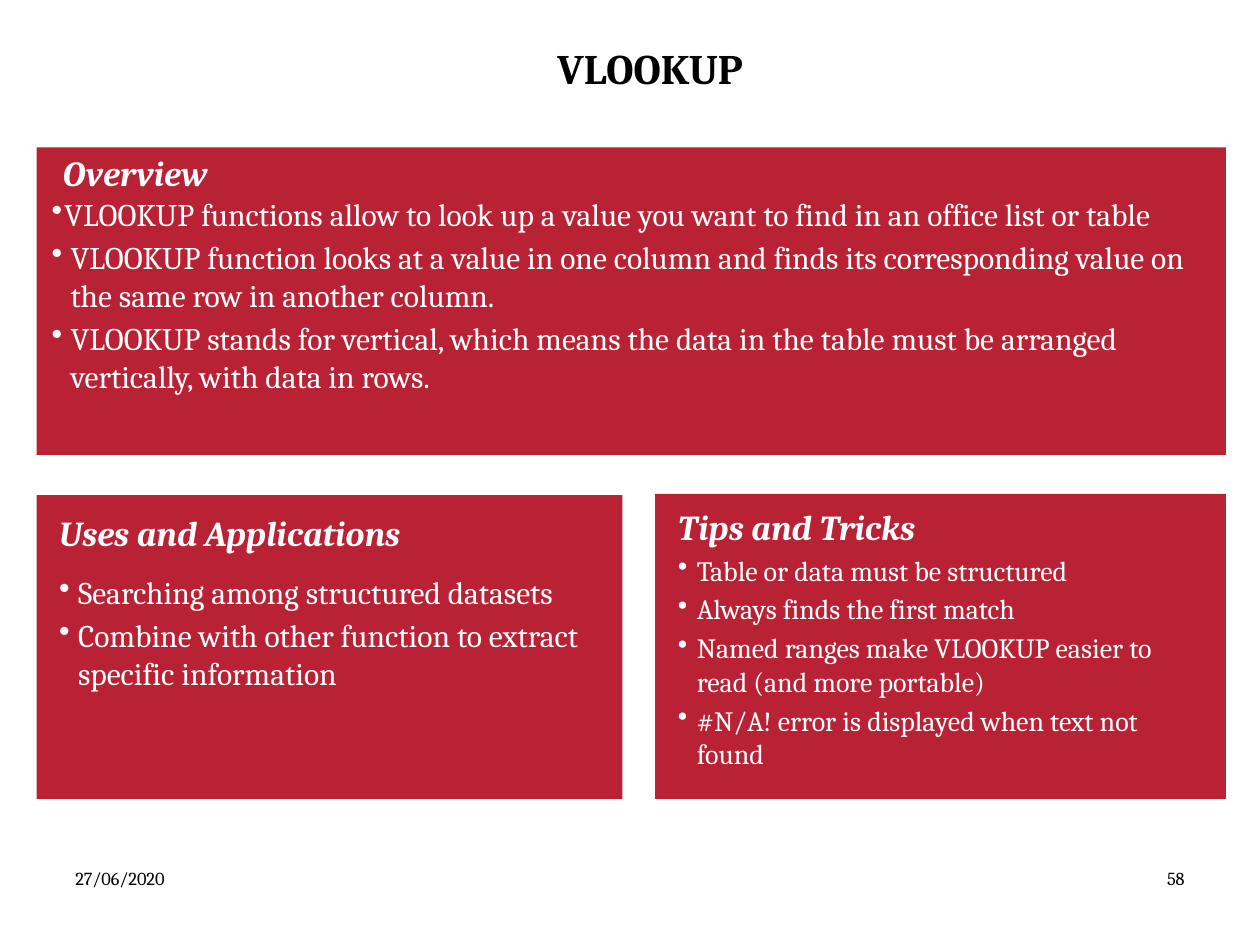
import pptx
import pptx.util
import pptx.dml.color
import pptx.enum.shapes
import pptx.enum.text
from lxml import etree

Inches = pptx.util.Inches
Pt = pptx.util.Pt
Align = pptx.enum.text.PP_ALIGN
COLORS = {"panel": "B82234", "light": "FFFFFF", "dark": "000000"}
BODY_GAP = 3
HEAD_GAP = 9


def color(name):
    return pptx.dml.color.RGBColor.from_string(COLORS[name])


def style(font, ink, **values):
    font.name = "Cambria"
    font.color.rgb = color(ink)
    for key, value in values.items():
        setattr(font, key, value)


def bullet(para, indent):
    props = para._p.get_or_add_pPr()
    props.set("marL", str(Inches(indent)))
    props.set("indent", str(-Inches(indent)))
    mark = etree.SubElement(props, pptx.oxml.ns.qn("a:buChar"))
    mark.set("char", "•")


def frame(slide, box, inset=0):
    text = slide.shapes.add_textbox(*map(Inches, box)).text_frame
    text.word_wrap = True
    if not inset:
        for side in ("left", "top", "right", "bottom"):
            setattr(text, "margin_" + side, 0)
    return text


def label(slide, box, words, size, align=Align.LEFT, bold=False):
    """Add a line of dark text with the usual insets."""
    para = frame(slide, box, inset=True).paragraphs[0]
    para.text = words
    para.alignment = align
    style(para.runs[0].font, "dark", size=Pt(size), bold=bold)


def heading(slide, box, words):
    para = frame(slide, box).paragraphs[0]
    para.text = words
    para.space_after = Pt(HEAD_GAP)
    style(para.runs[0].font, "light", size=Pt(20), bold=True, italic=True)


def points(slide, box, items, size, first):
    """Add a bullet list; first is the indent of its first item."""
    text = frame(slide, box)
    for i, item in enumerate(items):
        para = text.add_paragraph() if i else text.paragraphs[0]
        para.text = item
        para.space_after = Pt(BODY_GAP)
        bullet(para, 0.15 if i else first)
        style(para.runs[0].font, "light", size=Pt(size))


def panel(slide, box, title, head, items, body, size=18, first=0.15):
    """Draw a filled panel; head and body are boxes relative to its corner."""
    left, top = box[:2]
    rect = slide.shapes.add_shape(
        pptx.enum.shapes.MSO_SHAPE.RECTANGLE, *map(Inches, box))
    rect.shadow.inherit = False
    rect.fill.solid()
    rect.fill.fore_color.rgb = color("panel")
    rect.line.fill.background()

    def place(part):
        return (left + part[0], top + part[1], *part[2:])

    points(slide, place(body), items, size, first)
    heading(slide, place(head), title)


def footer(slide, box, date, page):
    left, top, width, height = box
    part = 2.33
    label(slide, (left, top, part, height), date, 10.5)
    label(slide, (left + width - part, top, part, height), page, 10.5,
          Align.RIGHT)


def main():
    deck = pptx.Presentation()
    deck.slide_width, deck.slide_height = Inches(10), Inches(7.5)
    slide = deck.slides.add_slide(deck.slide_layouts[6])

    label(slide, (3.49, 0.29, 3.34, 0.5), "VLOOKUP", 24, Align.CENTER, True)
    panel(slide, (0.29, 1.17, 9.44, 2.44),
          "Overview", (0.21, 0.03, 1.83, 0.35),
          ["VLOOKUP functions allow to look up a value you want to find "
           "in an office list or table",
           "VLOOKUP function looks at a value in one column and finds its "
           "corresponding value on the same row in another column.",
           "VLOOKUP stands for vertical, which means the data in the table "
           "must be arranged vertically, with data in rows."],
          (0.12, 0.38, 9.09, 1.9), first=0.1)
    panel(slide, (0.29, 3.93, 4.65, 2.41),
          "Uses and Applications", (0.18, 0.13, 4.33, 0.34),
          ["Searching among structured datasets",
           "Combine with other function to extract specific information"],
          (0.18, 0.62, 4.33, 0.95))
    panel(slide, (5.2, 3.92, 4.53, 2.42),
          "Tips and Tricks", (0.18, 0.09, 2.79, 0.34),
          ["Table or data must be structured",
           "Always finds the first match",
           "Named ranges make VLOOKUP easier to read (and more portable)",
           "#N/A! error is displayed when text not found"],
          (0.18, 0.47, 4.15, 1.74), size=16)
    footer(slide, (0.5, 6.83, 9, 0.52), "27/06/2020", "58")

    deck.save("out.pptx")


if __name__ == "__main__":
    main()
